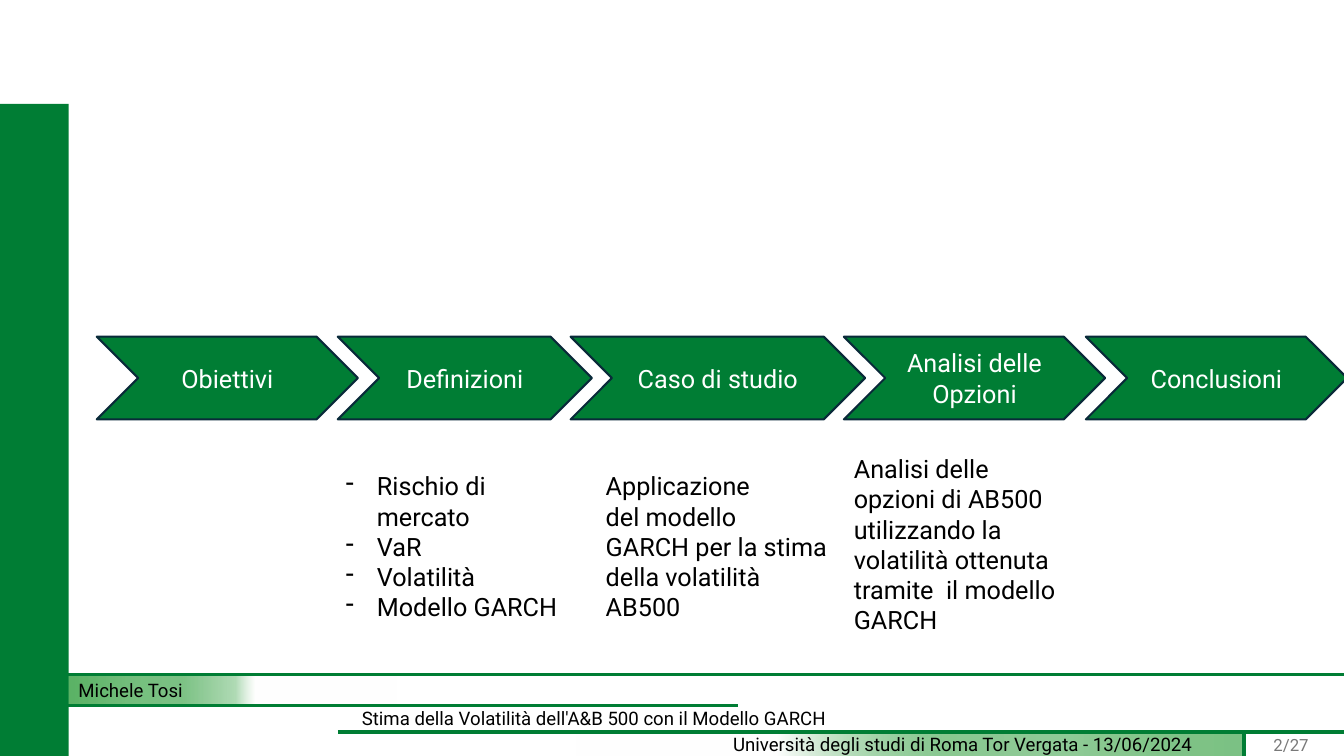
import pptx
import pptx.util
import pptx.dml.color
import pptx.enum.shapes
import pptx.enum.text
import pptx.oxml
import pptx.oxml.ns
from pptx.util import Inches

GREEN, LEAF, NAVY, GREY, WHITE, BLACK = "007D34", "32A03F", "092A39", "797979", "FFFFFF", "000000"
SHAPES = pptx.enum.shapes.MSO_SHAPE
ANCHOR = pptx.enum.text.MSO_ANCHOR
ALIGN = pptx.enum.text.PP_ALIGN
qn = pptx.oxml.ns.qn


def color(code):
    return pptx.dml.color.RGBColor.from_string(code)


def write(shape, text, size=18, ink=BLACK, align=ALIGN.LEFT, anchor=ANCHOR.MIDDLE, inset=0.1, bullet=None):
    frame = shape.text_frame
    frame.word_wrap = True
    frame.vertical_anchor = anchor
    frame.margin_left = Inches(inset)
    frame.text = text
    for paragraph in frame.paragraphs:
        paragraph.alignment = align
        paragraph.font.size = pptx.util.Pt(size)
        for run in paragraph.runs:
            run.font.name = "Roboto"
            run.font.size = pptx.util.Pt(size)
            run.font.color.rgb = color(ink)
        if bullet:
            properties = paragraph._p.get_or_add_pPr()
            properties.set("marL", str(Inches(0.31)))
            properties.set("indent", str(Inches(-0.31)))
            properties.append(properties.makeelement(qn("a:buChar"), {"char": bullet}))


prs = pptx.Presentation()
prs.slide_width, prs.slide_height = Inches(13.33), Inches(7.5)
slide = prs.slides.add_slide(prs.slide_layouts[6])
shapes = slide.shapes

footer_bands = [
    (0.68, 6.69, 3.25, 0.31, "Michele Tosi", 0.1,
     [(0, LEAF, 80), (18, LEAF, 68), (35, LEAF, 63), (51, LEAF, 38), (57, WHITE, 27), (69, WHITE, 100)]),
    (5.72, 7.26, 6.61, 0.25, "Università degli studi di Roma Tor Vergata - 13/06/2024", 1.55,
     [(30, WHITE, 100), (55, LEAF, 57), (73, LEAF, 54), (87, LEAF, 61), (100, LEAF, 64)]),
]
for left, top, width, height, text, inset, stops in footer_bands:
    band = shapes.add_shape(SHAPES.RECTANGLE, *map(Inches, (left, top, width, height)))
    band.shadow.inherit = False
    band.line.fill.background()
    band.fill.gradient()
    band.fill.gradient_angle = 0
    stop_list = band._element.spPr.find(".//" + qn("a:gsLst"))
    for old_stop in list(stop_list):
        stop_list.remove(old_stop)
    for position, code, opacity in stops:
        stop_list.append(pptx.oxml.parse_xml(
            f'<a:gs {pptx.oxml.ns.nsdecls("a")} pos="{position * 1000}"><a:srgbClr val="{code}">'
            f'<a:alpha val="{opacity * 1000}"/></a:srgbClr></a:gs>'))
    write(band, text, size=13.3, inset=inset)

thesis_title = shapes.add_textbox(Inches(3.49), Inches(7), Inches(6.35), Inches(0.25))
write(thesis_title, "Stima della Volatilità dell'A&B 500 con il Modello GARCH", size=13.3)

footer_rules = [(0.58, 7, 7.32, 7), (12.34, 7.26, 12.34, 7.5), (0.05, 6.69, 13.39, 6.69), (3.35, 7.26, 13.33, 7.26)]
for ends in footer_rules:
    rule = shapes.add_connector(pptx.enum.shapes.MSO_CONNECTOR.STRAIGHT, *map(Inches, ends))
    rule.line.color.rgb = color(GREEN)
    rule.line.width = pptx.util.Pt(2.5)
    properties = rule._element.spPr
    properties.append(properties.makeelement(qn("a:effectLst"), {}))

sidebar = shapes.add_shape(SHAPES.RECTANGLE, Inches(-0.04), Inches(1.03), Inches(0.72), Inches(6.48))
sidebar.shadow.inherit = False
sidebar.fill.solid()
sidebar.fill.fore_color.rgb = color(GREEN)
sidebar.line.fill.background()

steps = [
    ("Obiettivi", 0.96, 2.59),
    ("Definizioni", 3.35, 2.52),
    ("Caso di studio", 5.66, 2.92),
    ("Analisi delle Opzioni", 8.37, 2.59),
    ("Conclusioni", 10.77, 2.59),
]
for label, left, width in steps:
    step = shapes.add_shape(SHAPES.CHEVRON, Inches(left), Inches(3.34), Inches(width), Inches(0.82))
    step.shadow.inherit = False
    step.fill.solid()
    step.fill.fore_color.rgb = color(GREEN)
    step.line.color.rgb = color(NAVY)
    step.line.width = pptx.util.Pt(1.5)
    write(step, label, ink=WHITE, align=ALIGN.CENTER)

details = [
    ("Rischio di mercato\nVaR\nVolatilità\nModello GARCH", 3.33, 4.62, 2.54, 1.31, "-"),
    ("Applicazione\ndel modello\nGARCH per la stima\ndella volatilità AB500", 5.91, 4.62, 2.47, 1.31, None),
    ("Analisi delle opzioni di AB500 utilizzando la volatilità ottenuta tramite  il modello GARCH",
     8.37, 4.45, 2.39, 1.62, None),
]
for text, left, top, width, height, bullet in details:
    detail = shapes.add_textbox(*map(Inches, (left, top, width, height)))
    write(detail, text, anchor=ANCHOR.TOP, bullet=bullet)

page_number = shapes.add_textbox(Inches(12.25), Inches(7.22), Inches(1.11), Inches(0.33))
write(page_number, "2/27", size=12, ink=GREY, align=ALIGN.CENTER)

prs.save("out.pptx")
